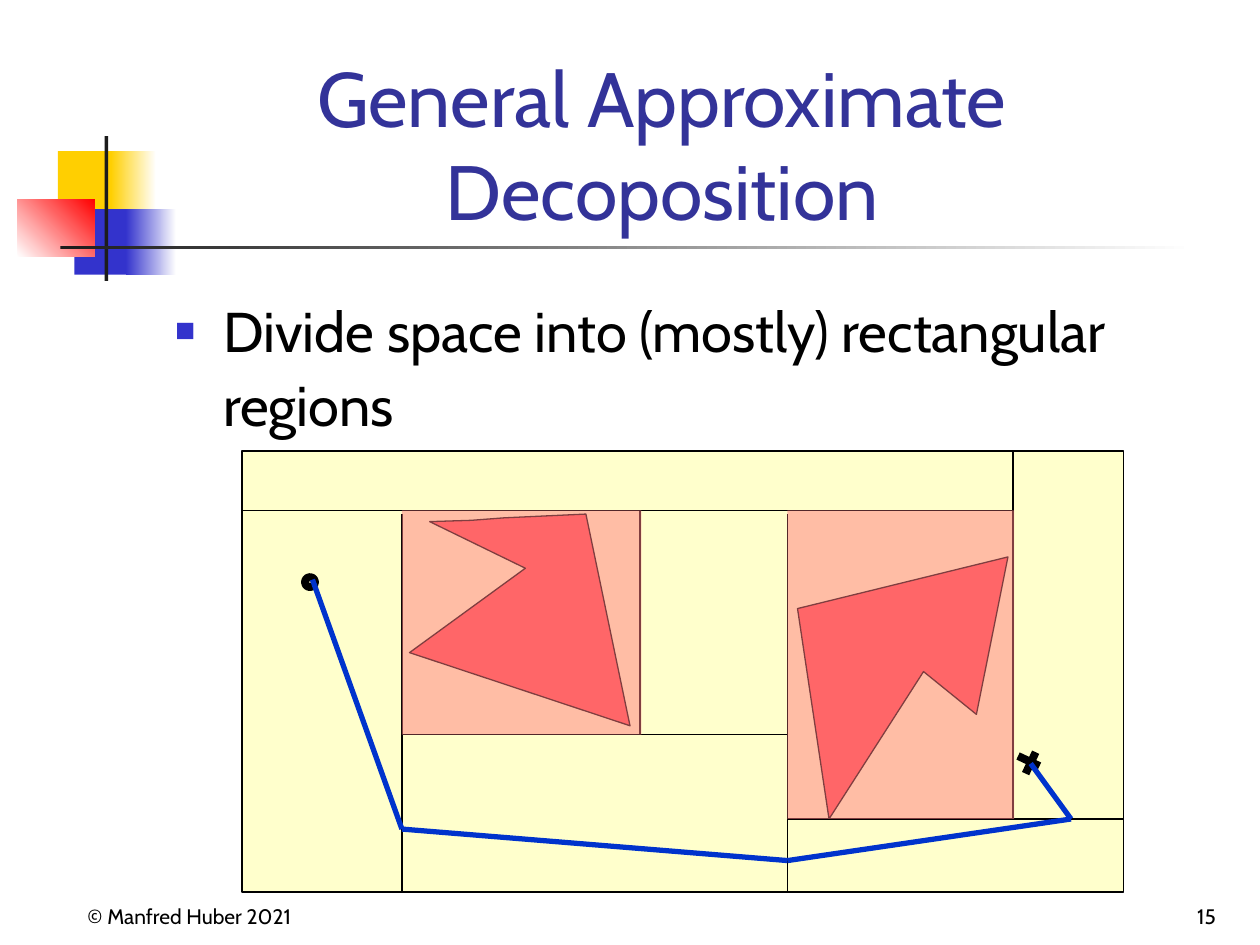
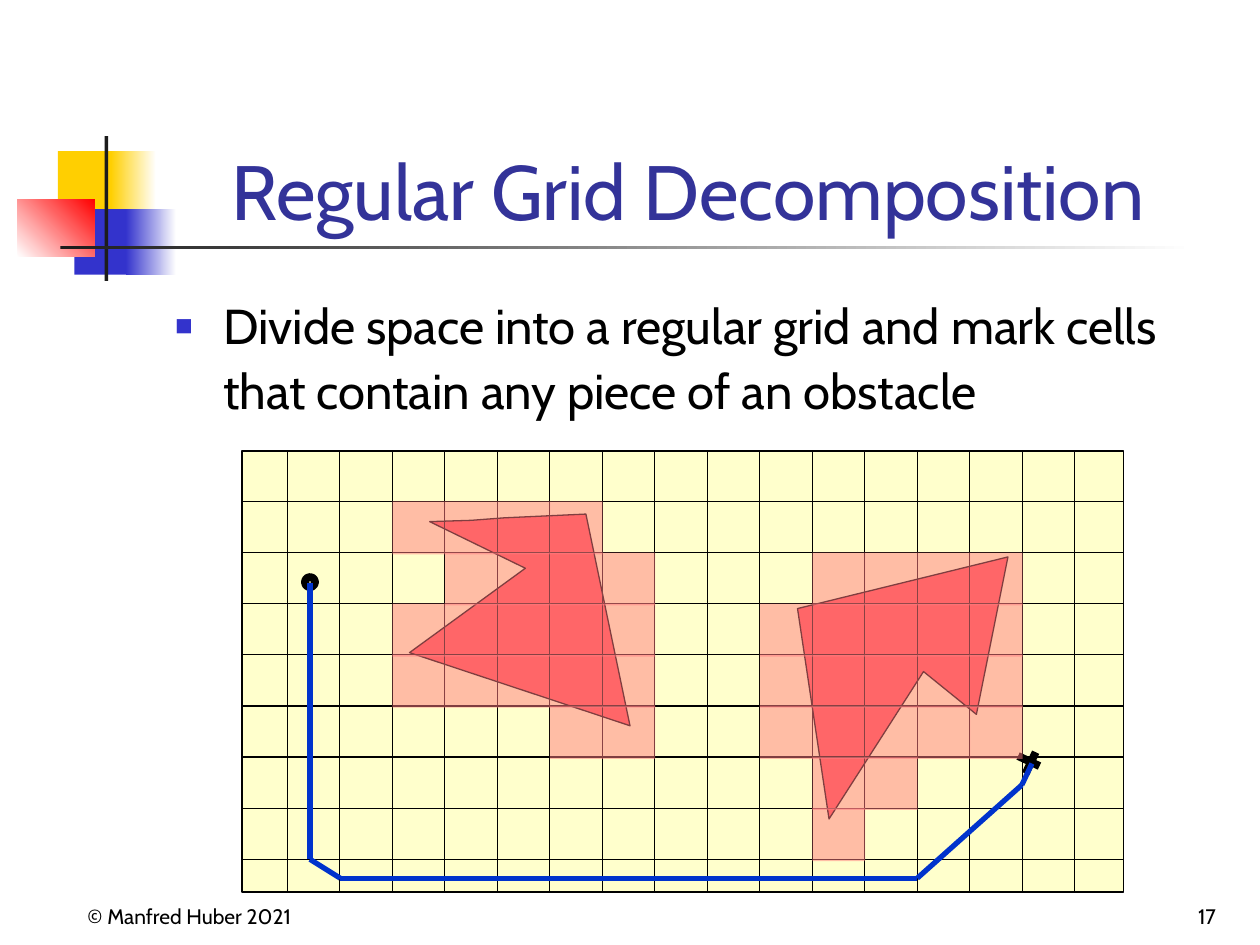
"""Builds two slides on cell decomposition of a space with obstacles."""
import itertools

import lxml.etree
import pptx
import pptx.dml.color
import pptx.enum.shapes
import pptx.enum.text
import pptx.oxml.ns
import pptx.util

Inches = pptx.util.Inches
Pt = pptx.util.Pt
qn = pptx.oxml.ns.qn
SHAPE = pptx.enum.shapes.MSO_SHAPE
ALIGN = pptx.enum.text.PP_ALIGN
ANCHOR = pptx.enum.text.MSO_ANCHOR

FONT = "Cabin"
COLORS = {
    "title": "333399",
    "text": "000000",
    "bullet": "3333CC",
    "yellow": "FFCF01",
    "red": "FF0000",
    "white": "FFFFFF",
    "bar": "1C1C1C",
    "space": "FFFFCC",
    "obstacle": "FF5050",
    "blocked": "FF7C80",
    "route": "0033CC",
}

LEFT, TOP, RIGHT, BOTTOM = 1.92, 3.58, 8.92, 7.08
GRID_LEFT, GRID_TOP = 2.28, 3.98
COLUMN_STEP, ROW_STEP = 5 / 12, 0.4057
COLUMN_LINES, ROW_LINES, CELL = 16, 8, 0.42

OBSTACLES = [
    [(4.65, 4.08), (4, 4.11), (3.74, 4.13), (3.41, 4.14), (4.17, 4.51), (3.25, 5.18), (5, 5.76)],
    [(6.33, 4.83), (6.58, 6.5), (7.33, 5.33), (7.75, 5.67), (8, 4.42)],
]
GOAL_STROKES = [[(8.08, 6), (8.25, 6.08)], [(8.14, 6.14), (8.22, 5.97)]]

REGION_BORDERS = [
    [(LEFT, 4.05), (8.04, 4.05)],
    [(3.19, 4.08), (3.19, BOTTOM)],
    [(6.25, 4.08), (6.25, BOTTOM)],
    [(5.08, 4.05), (5.08, 5.83)],
    [(3.19, 5.83), (6.25, 5.83)],
    [(6.25, 6.5), (RIGHT, 6.5)],
    [(8.04, TOP), (8.04, 6.5)],
]
BLOCKED_REGIONS = [(3.19, 4.05, 1.9, 1.78), (6.25, 4.05, 1.8, 2.45)]
REGION_ROUTE = [(2.48, 4.6), (3.19, 6.58), (6.25, 6.83), (8.5, 6.5), (8.18, 6.06)]

BLOCKED_COLUMNS_BY_ROW = [
    [2, 3, 4, 5],
    [3, 4, 5, 6, 10, 11, 12, 13],
    [2, 3, 4, 5, 6, 9, 10, 11, 12, 13],
    [2, 3, 4, 5, 6, 9, 10, 11, 12, 13],
    [5, 6, 9, 10, 11, 12, 13],
    [10, 11],
    [10],
]
GRID_ROUTE = [(2.46, 4.63), (2.46, 6.82), (2.7, 6.97), (7.28, 6.97), (8.11, 6.23), (8.19, 6.06)]


def rgb(name):
    """Return the named colour."""
    return pptx.dml.color.RGBColor.from_string(COLORS[name])


def paint(shape, fill, line_width=None):
    """Give a shape a plain fill and an optional black outline."""
    shape.shadow.inherit = False
    shape.fill.solid()
    shape.fill.fore_color.rgb = rgb(fill)
    if line_width is None:
        shape.line.fill.background()
    else:
        shape.line.color.rgb = rgb("text")
        shape.line.width = Pt(line_width)


def add_block(slide, area, fill, line_width=None, kind=SHAPE.RECTANGLE):
    """Add a filled preset shape."""
    block = slide.shapes.add_shape(kind, *map(Inches, area))
    paint(block, fill, line_width)
    return block


def add_gradient(slide, area, start, end, angle=0):
    """Add a rectangle that fades from one colour to another."""
    block = add_block(slide, area, start)
    block.fill.gradient()
    block.fill.gradient_angle = angle
    for stop, name in zip(block.fill.gradient_stops, (start, end)):
        stop.color.rgb = rgb(name)
    return block


def add_veil(slide, area):
    """Add a half transparent rectangle over blocked space."""
    veil = add_block(slide, area, "blocked")
    color = veil.element.spPr.find(".//" + qn("a:srgbClr"))
    lxml.etree.SubElement(color, qn("a:alpha"), val="50000")


def add_path(slide, points, color="text", width=0.75):
    """Join the points with straight lines."""
    for start, end in itertools.pairwise(points):
        line = slide.shapes.add_connector(
            pptx.enum.shapes.MSO_CONNECTOR.STRAIGHT, *map(Inches, start + end))
        line.line.color.rgb = rgb(color)
        line.line.width = Pt(width)
        lxml.etree.SubElement(line.element.spPr, qn("a:effectLst"))


def add_obstacle(slide, points):
    """Add an obstacle outline."""
    corners = [tuple(map(Inches, point)) for point in points]
    builder = slide.shapes.build_freeform(*corners[0])
    builder.add_line_segments(corners[1:], close=True)
    paint(builder.convert_to_shape(), "obstacle", 0.75)


def write(box, area, text, size, color, align, anchor):
    """Place a text box or placeholder, set its text and return the paragraph."""
    box.left, box.top, box.width, box.height = map(Inches, area)
    frame = box.text_frame
    frame.word_wrap = True
    frame.auto_size = pptx.enum.text.MSO_AUTO_SIZE.NONE
    frame.vertical_anchor = anchor
    frame.text = text
    para = frame.paragraphs[0]
    para.alignment = align
    for span in para.runs:
        span.font.name = FONT
        span.font.size = Pt(size)
        span.font.color.rgb = rgb(color)
    return para


def add_bullet(para, space_before):
    """Give a paragraph a square bullet, a hanging indent and spacing."""
    para.line_spacing = 1.1
    para.space_before = Pt(space_before)
    properties = para._p.get_or_add_pPr()
    properties.set("marL", str(Inches(0.38)))
    properties.set("indent", str(Inches(-0.38)))
    color = lxml.etree.SubElement(properties, qn("a:buClr"))
    lxml.etree.SubElement(color, qn("a:srgbClr"), val=COLORS["bullet"])
    lxml.etree.SubElement(properties, qn("a:buSzPct"), val="60000")
    lxml.etree.SubElement(properties, qn("a:buChar"), char="■")


def add_footer(slide, area, text):
    """Add a small text at the foot of the slide."""
    box = slide.shapes.add_textbox(0, 0, 0, 0)
    write(box, area, text, 12, "text", ALIGN.RIGHT, ANCHOR.BOTTOM)


def decorate_master(deck, slide):
    """Build the corner squares and bars and move them to the slide master."""
    ornaments = [
        add_block(slide, (0.46, 1.2, 0.48, 0.52), "yellow"),
        add_gradient(slide, (0.88, 1.2, 0.36, 0.52), "yellow", "white"),
        add_block(slide, (0.59, 1.66, 0.46, 0.52), "bullet"),
        add_gradient(slide, (1, 1.66, 0.4, 0.52), "bullet", "white"),
        add_gradient(slide, (0.14, 1.58, 0.61, 0.46), "white", "red", 45),
        add_block(slide, (0.83, 1.08, 0.03, 1.15), "bar"),
        add_gradient(slide, (0.48, 1.95, 9, 0.03), "bar", "white"),
    ]
    tree = deck.slide_master.element.cSld.spTree
    for number, ornament in enumerate(ornaments, 100):
        ornament.element.nvSpPr.cNvPr.set("id", str(number))
        tree.append(ornament.element)


def add_page(deck, title, title_width, statement, size, space_before, number):
    """Add a slide with its title, bullet and footers."""
    slide = deck.slides.add_slide(deck.slide_layouts[1])
    write(slide.shapes.title, (1.42, 0.67, title_width, 1.25), title, 44, "title",
          ALIGN.CENTER, ANCHOR.BOTTOM)
    para = write(slide.placeholders[1], (1.29, 2.25, 8.5, 1.75), statement, size, "text",
                 ALIGN.LEFT, ANCHOR.TOP)
    add_bullet(para, space_before)
    add_footer(slide, (0.33, 6.92, 2.08, 0.5), "© Manfred Huber 2021")
    add_footer(slide, (7.42, 6.92, 2.33, 0.5), number)
    return slide


def add_space(slide):
    """Draw the space with its obstacles, start and goal."""
    add_block(slide, (LEFT, TOP, RIGHT - LEFT, BOTTOM - TOP), "space", 0.75)
    for points in OBSTACLES:
        add_obstacle(slide, points)
    add_block(slide, (2.42, 4.58, 0.08, 0.08), "space", 4.5, SHAPE.OVAL)
    for stroke in GOAL_STROKES:
        add_path(slide, stroke, width=4.5)


def add_regions(slide):
    """Divide the space into rectangular regions."""
    for border in REGION_BORDERS:
        add_path(slide, border)
    for area in BLOCKED_REGIONS:
        add_veil(slide, area)


def add_grid(slide):
    """Divide the space into a regular grid and mark the blocked cells."""
    columns = [GRID_LEFT + COLUMN_STEP * index for index in range(COLUMN_LINES)]
    rows = [GRID_TOP + ROW_STEP * index for index in range(ROW_LINES)]
    for x in columns:
        add_path(slide, [(x, TOP), (x, BOTTOM)])
    for y in rows:
        add_path(slide, [(LEFT, y), (RIGHT, y)])
    for y, blocked in zip(rows, BLOCKED_COLUMNS_BY_ROW):
        for column in blocked:
            add_veil(slide, (columns[column], y, CELL, CELL))


def main():
    """Build and save the deck."""
    deck = pptx.Presentation()
    deck.slide_width, deck.slide_height = Inches(10), Inches(7.5)

    regions = add_page(deck, "General Approximate Decoposition", 7.67,
                       "Divide space into (mostly) rectangular regions", 32, 8, "15")
    decorate_master(deck, regions)
    add_space(regions)
    add_regions(regions)
    add_path(regions, REGION_ROUTE, "route", 3)

    grid = add_page(deck, "Regular Grid Decomposition", 8.08,
                    "Divide space into a regular grid and mark cells that contain any piece "
                    "of an obstacle", 28, 7, "17")
    add_space(grid)
    add_grid(grid)
    add_path(grid, GRID_ROUTE, "route", 3)

    deck.save("out.pptx")


if __name__ == "__main__":
    main()
